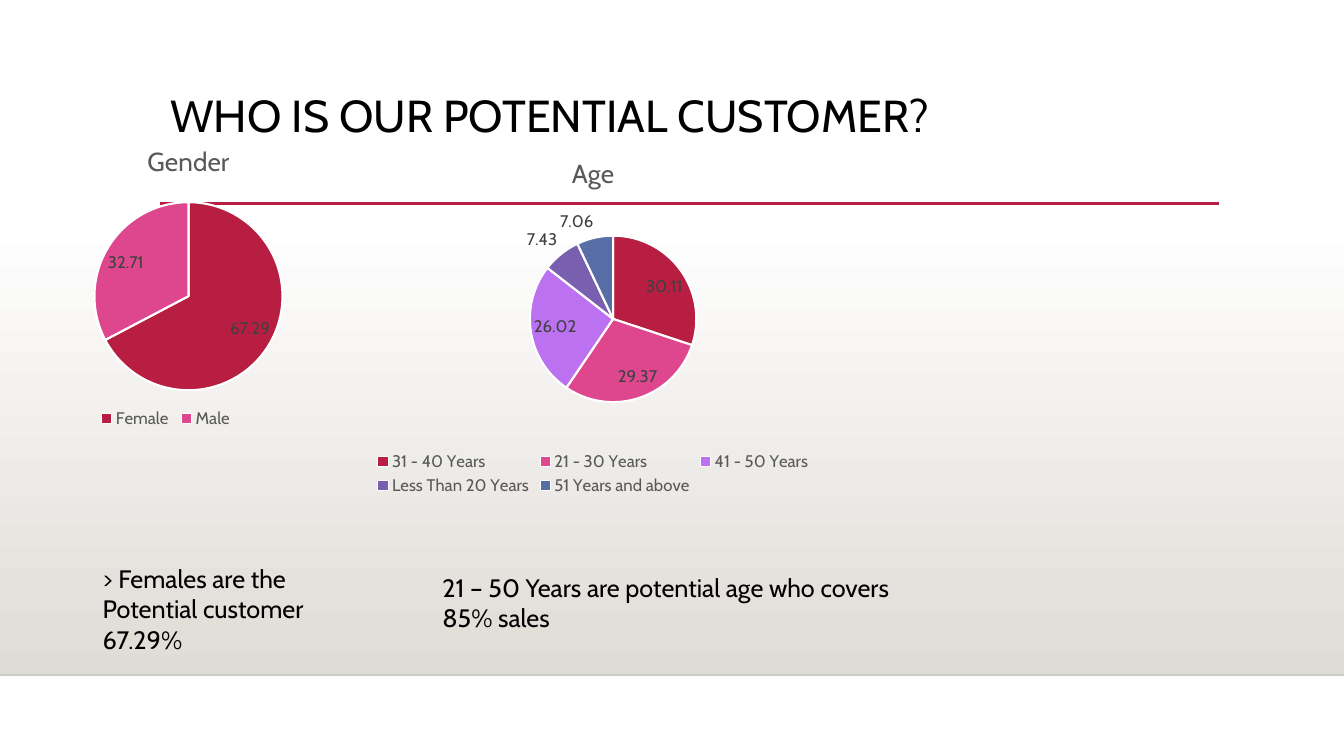
from lxml import etree
from pptx import Presentation
from pptx.chart.data import CategoryChartData
from pptx.dml.color import RGBColor
from pptx.enum.chart import XL_CHART_TYPE, XL_LABEL_POSITION, XL_LEGEND_POSITION
from pptx.enum.shapes import MSO_CONNECTOR, MSO_SHAPE
from pptx.oxml import parse_xml
from pptx.oxml.ns import qn
from pptx.util import Pt

PIE = XL_CHART_TYPE.PIE
FIT = XL_LABEL_POSITION.BEST_FIT
BOTTOM = XL_LEGEND_POSITION.BOTTOM
RECT = MSO_SHAPE.RECTANGLE
STRAIGHT = MSO_CONNECTOR.STRAIGHT

FONT = "Cabin"
WIDE, HIGH = 960, 540
COLOR = {"black": "000000", "white": "FFFFFF", "sand": "DFDBD5",
         "red": "B71E42", "gray": "595959", "dark": "404040"}
SLICES = [COLOR["red"], "DE478E", "BC72F0", "795FAF", "586EA6"]

TEXTS = [
    {"lines": ["WHO IS OUR POTENTIAL CUSTOMER?"],
     "box": (114.5, 63.4, 756, 82.8), "size": 32, "space": 0.9},
    {"lines": ["> Females are the", "Potential customer", "67.29%"],
     "box": (66.2, 398.9, 179.3, 72.7), "size": 18},
    {"lines": ["21 – 50 Years are potential age who covers", "85% sales"],
     "box": (308.9, 405.4, 393.1, 51.1), "size": 18},
]
# "plot" and "key" are fractions of the chart: left, top, width, height
CHARTS = [
    {"title": "Gender", "box": (0, 90.7, 269.3, 223.9),
     "data": {"Female": 67.29, "Male": 32.71},
     "plot": (0.25, 0.24, 0.5, 0.6), "key": (0.25, 0.88, 0.38, 0.1)},
    {"title": "Age", "box": (245.5, 98.6, 356.4, 258.5),
     "data": {"31 - 40 Years": 30.11, "21 - 30 Years": 29.37,
              "41 - 50 Years": 26.02, "Less Than 20 Years": 7.43,
              "51 Years and above": 7.06},
     "plot": (0.37, 0.27, 0.34, 0.46), "key": None},
]


def rgb(value):
    return RGBColor.from_string(value)


def style(font, size, color):
    font.name, font.size, font.bold = FONT, Pt(size), False
    font.color.rgb = rgb(color)


def add_text(slide, lines, box, size, color=COLOR["black"], space=None):
    frame = slide.shapes.add_textbox(*map(Pt, box)).text_frame
    frame.word_wrap = True
    for i, line in enumerate(lines):
        para = frame.paragraphs[0] if i == 0 else frame.add_paragraph()
        para.line_spacing = space
        run = para.add_run()
        run.text = line
        style(run.font, size, color)


def add_line(slide, left, right, y, color, width, alpha=None):
    line = slide.shapes.add_connector(STRAIGHT, Pt(left), Pt(y), Pt(right), Pt(y))
    line.line.color.rgb = rgb(color)
    line.line.width = Pt(width)
    props = line._element.spPr
    if alpha:
        tone = props.find(".//" + qn("a:srgbClr"))
        etree.SubElement(tone, qn("a:alpha")).set("val", str(alpha * 1000))
    etree.SubElement(props, qn("a:effectLst"))


def add_floor(slide, top, bottom):
    floor = slide.shapes.add_shape(RECT, 0, Pt(top), Pt(WIDE), Pt(bottom - top))
    floor.shadow.inherit = False
    floor.line.fill.background()
    floor.fill.gradient()
    floor.fill.gradient_angle = 270
    for stop, name, spot in zip(floor.fill.gradient_stops, ("white", "sand"), (0, 1)):
        stop.color.rgb = rgb(COLOR[name])
        stop.position = spot


def lay_out(part, area, inner=False):
    """Fix a chart part at the given fractions of the chart."""
    space = "http://schemas.openxmlformats.org/drawingml/2006/chart"
    rules = [("layoutTarget", "inner")] if inner else []
    rules += [("xMode", "edge"), ("yMode", "edge"), *zip("xywh", area)]
    body = "".join(f'<c:{tag} val="{val}"/>' for tag, val in rules)
    node = parse_xml(f'<c:layout xmlns:c="{space}"><c:manualLayout>{body}'
                     "</c:manualLayout></c:layout>")
    old = part.find(qn("c:layout"))
    if old is not None:
        part.remove(old)
    part.insert(0 if inner else 1, node)


def add_pie(slide, title, box, data, plot, key):
    source = CategoryChartData()
    source.categories = list(data)
    source.add_series(title, list(data.values()))
    chart = slide.shapes.add_chart(PIE, *map(Pt, box), source).chart
    style(chart.font, 10, COLOR["black"])

    chart.has_title = True
    chart.chart_title.include_in_layout = False
    head = chart.chart_title.text_frame.paragraphs[0].add_run()
    head.text = title
    style(head.font, 18.6, COLOR["gray"])

    chart.has_legend = True
    chart.legend.position = BOTTOM
    chart.legend.include_in_layout = False
    style(chart.legend.font, 12, COLOR["gray"])
    if key:
        lay_out(chart.legend._element, key)

    pie = chart.plots[0]
    pie.vary_by_categories = True
    pie.has_data_labels = True
    labels = pie.data_labels
    labels.show_value, labels.show_percentage = True, False
    labels.position = FIT
    style(labels.font, 12, COLOR["dark"])
    for i, color in enumerate(SLICES[:len(data)]):
        form = pie.series[0].points[i].format
        form.fill.solid()
        form.fill.fore_color.rgb = rgb(color)
        form.line.color.rgb = rgb(COLOR["white"])
        form.line.width = Pt(1.5)
    lay_out(chart._chartSpace.find(".//" + qn("c:plotArea")), plot, inner=True)


def main():
    deck = Presentation()
    deck.slide_width, deck.slide_height = Pt(WIDE), Pt(HIGH)
    slide = deck.slides.add_slide(deck.slide_layouts[6])
    add_floor(slide, 159, 482.4)
    add_line(slide, 0, WIDE, 482.4, COLOR["black"], 1, alpha=20)
    add_line(slide, 114.5, 871, 145.4, COLOR["red"], 2.5)
    title, *notes = TEXTS
    add_text(slide, **title)
    for chart in CHARTS:
        add_pie(slide, **chart)
    for note in notes:
        add_text(slide, **note)
    deck.save("out.pptx")


if __name__ == "__main__":
    main()
